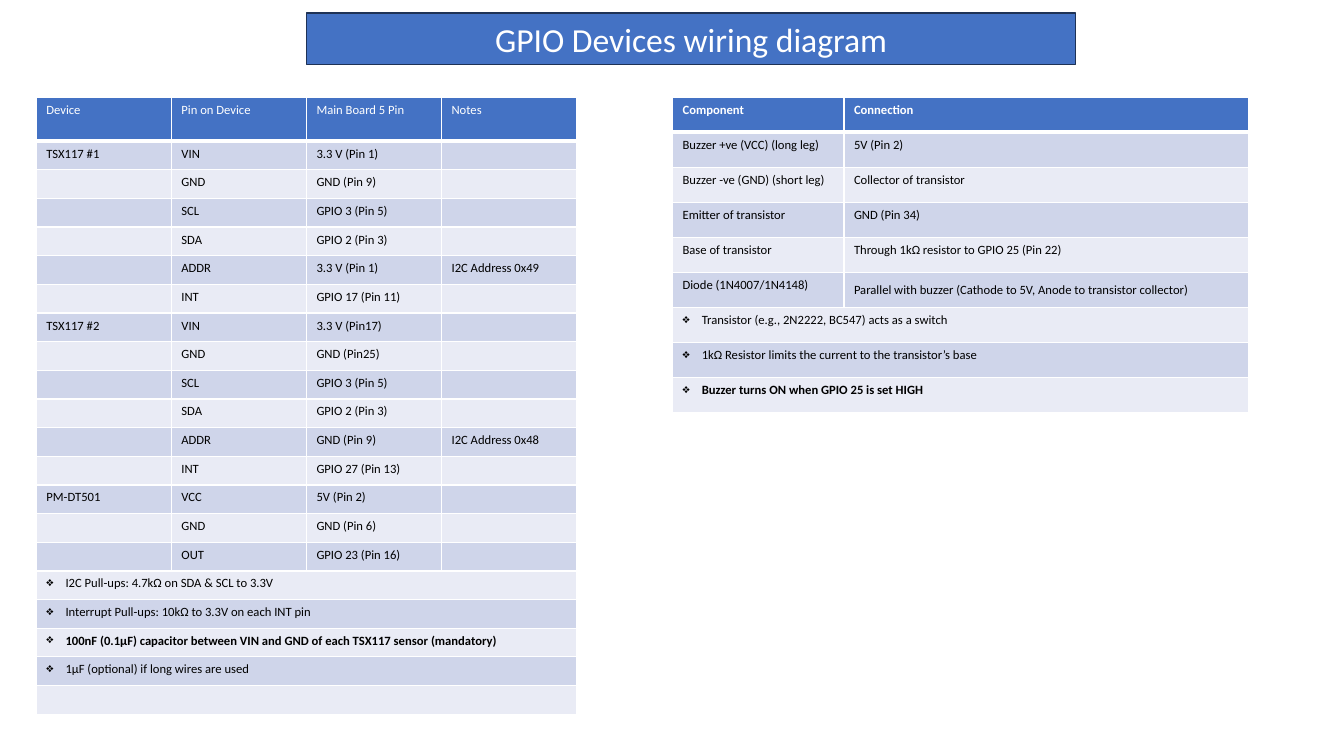
from lxml.etree import SubElement
from pptx import Presentation
from pptx.dml.color import RGBColor
from pptx.enum.text import MSO_ANCHOR as Anchor, MSO_AUTO_SIZE as AutoSize, PP_ALIGN as Align
from pptx.oxml.ns import qn
from pptx.util import Inches, Pt


def color(hex_code):
    return RGBColor.from_string(hex_code)


class WiringSlide:
    FONT = "Calibri"
    BLUE, NAVY, WHITE, BLACK = "4472C4", "1E3256", "FFFFFF", "000000"
    BANDS = ("E9EBF5", "CFD5EA")
    TEXT_SIZE, TITLE_SIZE = 9, 24
    BULLET, INDENT = "❖", 0.19

    def __init__(self, deck):
        self.slide = deck.slides.add_slide(deck.slide_layouts[5])

    def run(self, paragraph, text, size, ink, bold=False):
        run = paragraph.add_run()
        run.text = text
        run.font.name = self.FONT
        run.font.size = Pt(size)
        run.font.bold = bold
        run.font.color.rgb = color(ink)

    def title(self, text, left, top, width, height):
        banner = self.slide.shapes.title
        banner.left, banner.top = Inches(left), Inches(top)
        banner.width, banner.height = Inches(width), Inches(height)
        banner.fill.solid()
        banner.fill.fore_color.rgb = color(self.BLUE)
        banner.line.color.rgb = color(self.NAVY)
        banner.line.width = Pt(1)
        frame = banner.text_frame
        frame.word_wrap = True
        frame.auto_size = AutoSize.NONE
        frame.vertical_anchor = Anchor.MIDDLE
        heading = frame.paragraphs[0]
        heading.alignment = Align.CENTER
        self.run(heading, text, self.TITLE_SIZE, self.WHITE)

    def borders(self, cell, bottom):
        props = cell._tc.get_or_add_tcPr()
        for side, points in (("L", 1), ("R", 1), ("T", 1), ("B", bottom)):
            edge = SubElement(props, qn(f"a:ln{side}"), w=str(Pt(points)))
            SubElement(SubElement(edge, qn("a:solidFill")), qn("a:srgbClr"), val=self.WHITE)

    def bullet(self, paragraph):
        props = paragraph._p.get_or_add_pPr()
        props.set("marL", str(Inches(self.INDENT)))
        props.set("indent", str(-Inches(self.INDENT)))
        SubElement(props, qn("a:buChar"), char=self.BULLET)

    def cell(self, cell, text, row, bold, is_note):
        header = row == 0
        self.borders(cell, 3 if header else 1)
        cell.fill.solid()
        cell.fill.fore_color.rgb = color(self.BLUE if header else self.BANDS[row % 2])
        paragraph = cell.text_frame.paragraphs[0]
        if text and is_note:
            self.bullet(paragraph)
        if text:
            self.run(paragraph, text, self.TEXT_SIZE, self.WHITE if header else self.BLACK, bold)

    def table(self, left, top, widths, height, header_height, rows, notes, bold_rows):
        """Lay out the rows, then the notes, each merged across the full width."""
        lines = rows + [(note,) for note in notes]
        grid = self.slide.shapes.add_table(
            len(lines), len(widths), Inches(left), Inches(top),
            Inches(sum(widths)), Inches(height)).table
        for column, width in zip(grid.columns, widths):
            column.width = Inches(width)
        row_height = (height - header_height) / (len(lines) - 1)
        for r, texts in enumerate(lines):
            grid.rows[r].height = Inches(header_height if r == 0 else row_height)
            is_note = r >= len(rows)
            if is_note:
                grid.cell(r, 0).merge(grid.cell(r, len(widths) - 1))
            for c, text in enumerate(texts):
                self.cell(grid.cell(r, c), text, r, r in bold_rows, is_note)
            # Blank cells keep the small text size so that rows stay low
            for blank in grid.rows[r].cells:
                end = blank.text_frame.paragraphs[0]._p.get_or_add_endParaRPr()
                end.set("sz", str(self.TEXT_SIZE * 100))
        return grid


# Sensor pins: (device, [(pin, board pin, note)])
SENSORS = [
    ("TSX117 #1", [
        ("VIN", "3.3 V (Pin 1)", ""),
        ("GND", "GND (Pin 9)", ""),
        ("SCL", "GPIO 3 (Pin 5)", ""),
        ("SDA", "GPIO 2 (Pin 3)", ""),
        ("ADDR", "3.3 V (Pin 1)", "I2C Address 0x49"),
        ("INT", "GPIO 17 (Pin 11)", ""),
    ]),
    ("TSX117 #2", [
        ("VIN", "3.3 V (Pin17)", ""),
        ("GND", "GND (Pin25)", ""),
        ("SCL", "GPIO 3 (Pin 5)", ""),
        ("SDA", "GPIO 2 (Pin 3)", ""),
        ("ADDR", "GND (Pin 9)", "I2C Address 0x48"),
        ("INT", "GPIO 27 (Pin 13)", ""),
    ]),
    ("PM-DT501", [
        ("VCC", "5V (Pin 2)", ""),
        ("GND", "GND (Pin 6)", ""),
        ("OUT", "GPIO 23 (Pin 16)", ""),
    ]),
]
SENSOR_NOTES = [
    "I2C Pull-ups: 4.7kΩ on SDA & SCL to 3.3V",
    "Interrupt Pull-ups: 10kΩ to 3.3V on each INT pin",
    "100nF (0.1µF) capacitor between VIN and GND of each TSX117 sensor (mandatory)",
    "1µF (optional) if long wires are used",
    "",
]

# Buzzer circuit
BUZZER = [
    ("Component", "Connection"),
    ("Buzzer +ve (VCC) (long leg)", "5V (Pin 2)"),
    ("Buzzer -ve (GND) (short leg)", "Collector of transistor"),
    ("Emitter of transistor", "GND (Pin 34)"),
    ("Base of transistor", "Through 1kΩ resistor to GPIO 25 (Pin 22)"),
    ("Diode (1N4007/1N4148)",
     "Parallel with buzzer (Cathode to 5V, Anode to transistor collector)"),
]
BUZZER_NOTES = [
    "Transistor (e.g., 2N2222, BC547) acts as a switch",
    "1kΩ Resistor limits the current to the transistor’s base",
    "Buzzer turns ON when GPIO 25 is set HIGH",
]


def main():
    deck = Presentation()
    deck.slide_width, deck.slide_height = Inches(13.33), Inches(7.5)
    wiring = WiringSlide(deck)

    # Title banner
    wiring.title("GPIO Devices wiring diagram", 3.04, 0.13, 7.63, 0.51)

    # Sensor table: the device is named only beside its first pin
    sensor_rows = [("Device", "Pin on Device", "Main Board 5 Pin", "Notes")]
    for device, pins in SENSORS:
        for i, pin in enumerate(pins):
            sensor_rows.append((device if i == 0 else "", *pin))
    wiring.table(0.36, 0.97, [1.34] * 4, 6.12, 0.43, sensor_rows, SENSOR_NOTES, {18})

    # Buzzer table
    buzzer = wiring.table(6.67, 0.97, [1.7, 4.01], 3.13, 0.34, BUZZER, BUZZER_NOTES, {0, 8})
    buzzer.cell(5, 1).vertical_anchor = Anchor.MIDDLE

    deck.save("out.pptx")


if __name__ == "__main__":
    main()
